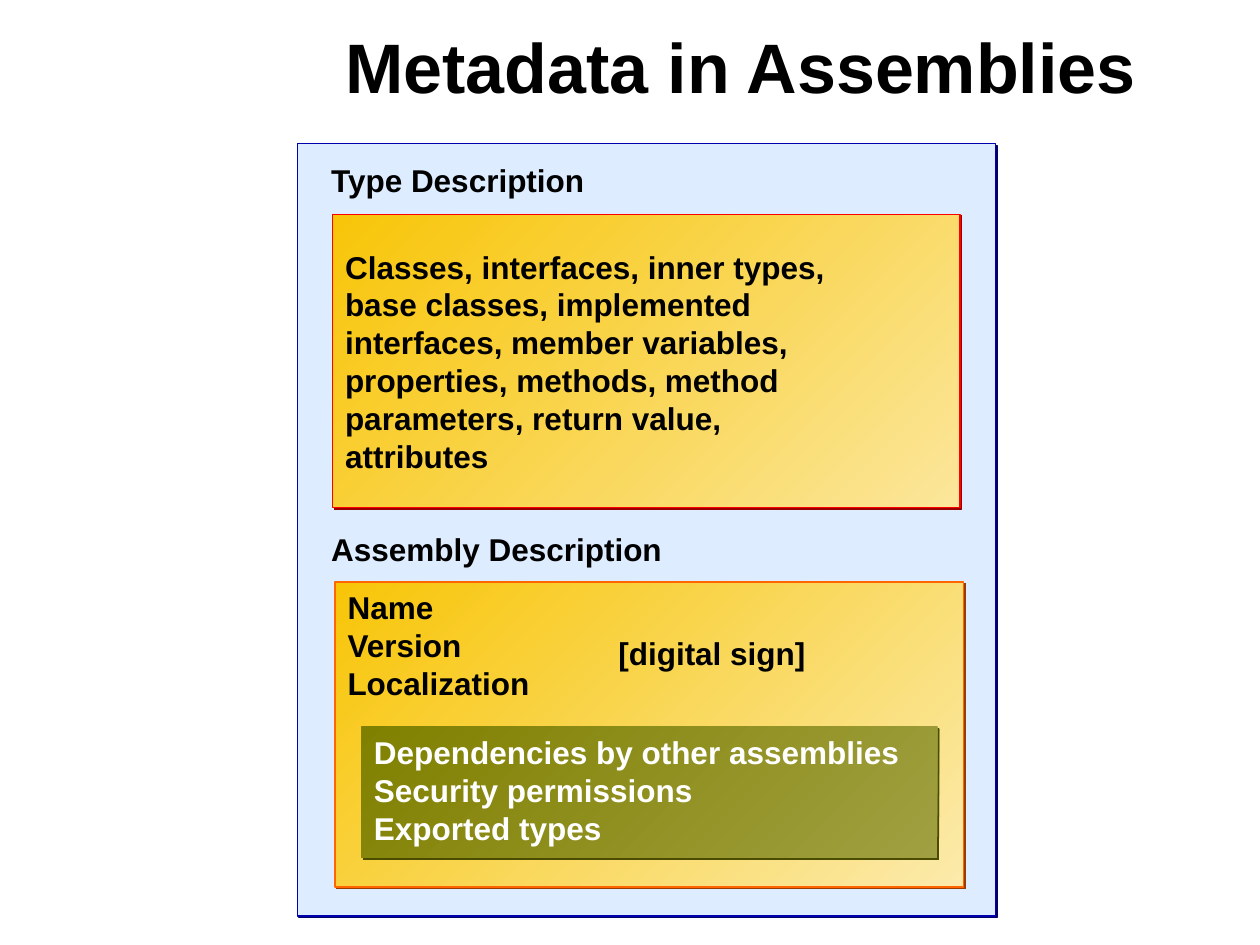
from lxml.etree import SubElement
from pptx import Presentation
from pptx.dml.color import RGBColor
from pptx.enum.shapes import MSO_SHAPE
from pptx.enum.text import MSO_ANCHOR, MSO_AUTO_SIZE, PP_ALIGN
from pptx.oxml.ns import qn
from pptx.util import Inches, Pt

COLS, ROWS = 100, 75
prs = Presentation()
prs.slide_width, prs.slide_height = Inches(10), Inches(7.5)


def color(value):
    return RGBColor.from_string(value)


def grid(box):
    """Turn (column, row, columns, rows) into slide lengths."""
    cw, rh = prs.slide_width / COLS, prs.slide_height / ROWS
    return [round(n * unit) for n, unit in zip(box, (cw, rh, cw, rh))]


def within(box, dx, dy, w, h):
    return box[0] + dx, box[1] + dy, w, h


def write(tf, lines, size=18, ink="000000", anchor=MSO_ANCHOR.TOP,
          wrap=False, spacing=None):
    tf.word_wrap = wrap
    tf.vertical_anchor = anchor
    for i, line in enumerate(lines):
        p = tf.add_paragraph() if i else tf.paragraphs[0]
        p.text = line
        p.alignment = PP_ALIGN.LEFT
        p.line_spacing = spacing
        for r in p.runs:
            r.font.name, r.font.size, r.font.bold = "Arial", Pt(size), True
            r.font.color.rgb = color(ink)


def label(slide, box, text):
    tf = slide.shapes.add_textbox(*grid(box)).text_frame
    write(tf, [text])
    tf.auto_size = MSO_AUTO_SIZE.SHAPE_TO_FIT_TEXT


def card(slide, box, fill, shadow, line=None, lines=(), **fmt):
    """Rectangle with a hard shadow; two fill colours run from lower right to upper left."""
    sp = slide.shapes.add_shape(MSO_SHAPE.RECTANGLE, *grid(box))
    if len(fill) == 1:
        sp.fill.solid()
        sp.fill.fore_color.rgb = color(fill[0])
    else:
        sp.fill.gradient()
        sp.fill.gradient_angle = 135
        for stop, value in zip(sp.fill.gradient_stops, fill):
            stop.color.rgb = color(value)
    if line:
        sp.line.color.rgb = color(line)
        sp.line.width = Pt(0.75)
    else:
        sp.line.fill.background()
    sp.shadow.inherit = False
    effects = sp._element.spPr.find(qn("a:effectLst"))
    outer = SubElement(effects, qn("a:outerShdw"), dist=str(Pt(1.4)),
                       dir="2700000", algn="ctr", rotWithShape="0")
    SubElement(outer, qn("a:srgbClr"), val=shadow)
    write(sp.text_frame, lines, **fmt)


def title(slide, box, text):
    sp = slide.shapes.title
    sp.left, sp.top, sp.width, sp.height = grid(box)
    write(sp.text_frame, [text], size=40, anchor=MSO_ANCHOR.MIDDLE,
          wrap=True, spacing=0.85)


def type_section(slide, box):
    label(slide, within(box, 0, 0, 22.8, 4), "Type Description")
    card(slide, within(box, 1.1, 4.7, 49.8, 23.3), ("FBE69B", "F8C508"),
         "980000", "FF0000",
         ["Classes, interfaces, inner types,",
          "base classes, implemented",
          "interfaces, member variables, \nproperties, methods, method \n"
          "parameters, return value,",
          "attributes"], anchor=MSO_ANCHOR.MIDDLE)


def assembly_section(slide, box):
    card(slide, within(box, 1.3, 4.6, 49.9, 24.2), ("FBEAAB", "F8C508"),
         "983C00", "FF6600", ["Name", "Version", "Localization"])
    label(slide, within(box, 0, 0, 28.8, 4), "Assembly Description")
    card(slide, within(box, 3.4, 16.1, 45.7, 10.4), ("A0A042", "808000"),
         "4C4C00", lines=["Dependencies by other assemblies",
                          "Security permissions", "Exported types"],
         ink="FFFFFF")
    label(slide, within(box, 22.8, 8.2, 17.4, 4), "[digital sign]")


def metadata_panel(slide, box):
    card(slide, box, ("DDECFF",), "000066", "0000AC")
    type_section(slide, within(box, 1.7, 0.9, 50.9, 28))
    assembly_section(slide, within(box, 1.7, 30.2, 51.2, 28.8))


def main():
    slide = prs.slides.add_slide(prs.slide_layouts[5])
    title(slide, (26.4, 0.8, 71.7, 9.9), "Metadata in Assemblies")
    metadata_panel(slide, (23.6, 11.4, 55.4, 61.3))
    prs.save("out.pptx")


if __name__ == "__main__":
    main()
